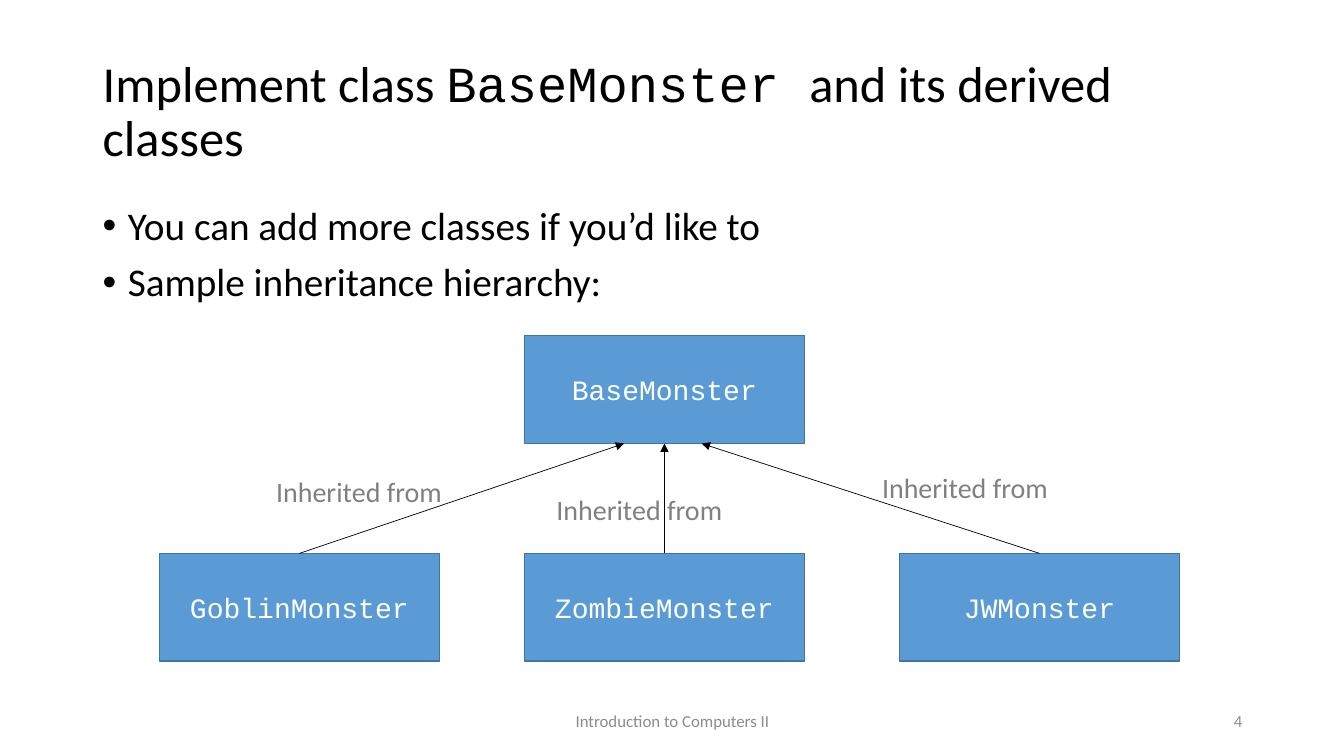
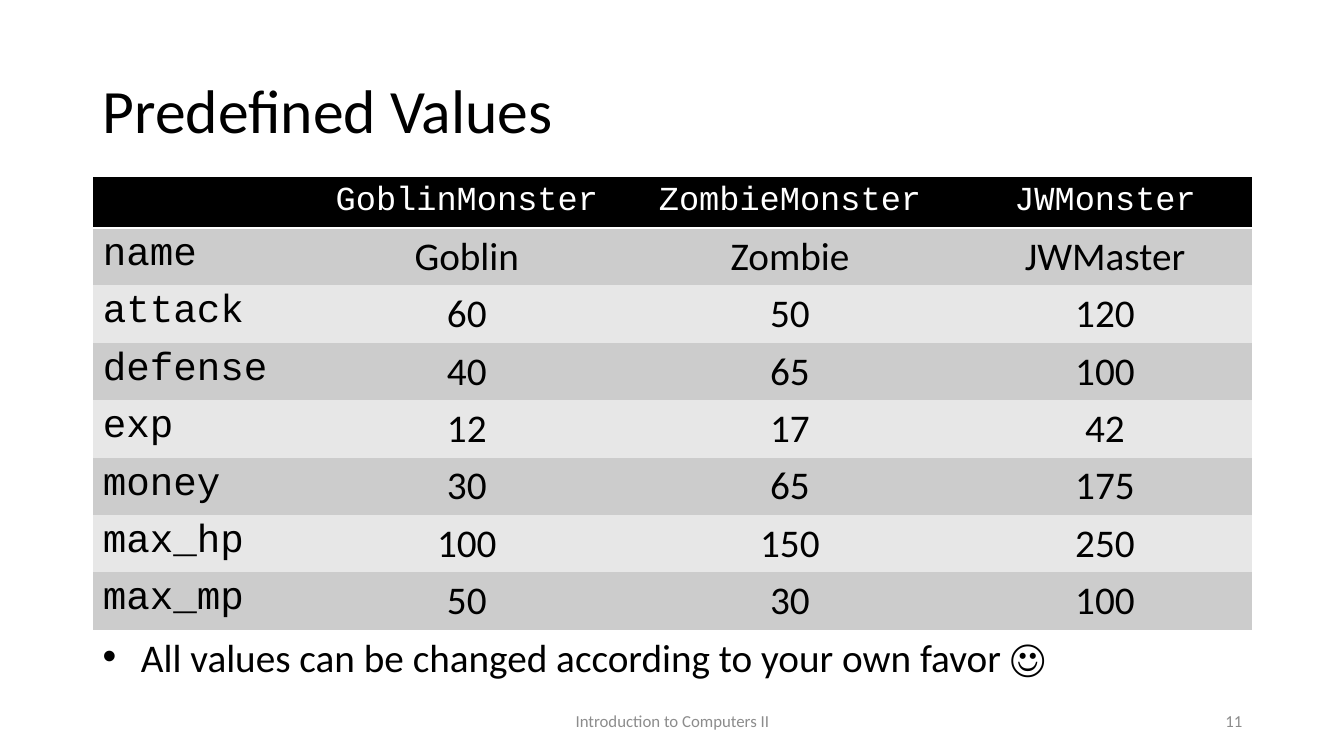
from dataclasses import dataclass

from lxml.etree import SubElement
from pptx import Presentation
from pptx.dml.color import RGBColor as Color
from pptx.enum.shapes import MSO_CONNECTOR as Connector, MSO_SHAPE as Preset
from pptx.enum.text import MSO_ANCHOR as Anchor, MSO_AUTO_SIZE as AutoSize, PP_ALIGN as Align
from pptx.oxml import parse_xml
from pptx.oxml.ns import nsdecls, qn
from pptx.util import Inches, Pt


@dataclass(frozen=True)
class Theme:
    # Fonts
    sans: str = "Calibri"
    code: str = "Courier New"
    # Colours
    black: str = "000000"
    white: str = "FFFFFF"
    box_fill: str = "5B9BD5"
    box_line: str = "43739E"
    label: str = "808080"
    footer: str = "8C8C8C"
    bands: tuple = ("CCCCCC", "E7E7E7")
    # Type sizes
    title_size: int = 44
    long_title_size: int = 36
    body_size: int = 28
    header_size: int = 24
    diagram_size: int = 20
    footer_size: int = 12


THEME = Theme()
LEFT, CONTENT_WIDTH = 0.92, 11.5
COURSE = "Introduction to Computers II"
PLAIN_TABLE_STYLE = "{2D5ABB26-0587-4C30-8999-92F81FD0307C}"

# Class diagram
BOX_WIDTH, BOX_HEIGHT = 2.78, 1.07
BASE_LEFT, BASE_TOP, DERIVED_TOP = 5.2, 3.33, 5.49
# Name, box left, arrow end, label left and top
DERIVED_CLASSES = [
    ("GoblinMonster", 1.58, 6.19, 2.64, 4.66),
    ("ZombieMonster", BASE_LEFT, 6.59, 5.42, 4.84),
    ("JWMonster", 8.92, 6.96, 8.65, 4.62),
]

# Values table
COLUMN_WIDTHS = [2.17, 3.08, 3.33, 2.92]
HEADER_HEIGHT, ROW_HEIGHT = 0.5, 0.57
MONSTER_VALUES = [
    ("", "GoblinMonster", "ZombieMonster", "JWMonster"),
    ("name", "Goblin", "Zombie", "JWMaster"),
    ("attack", "60", "50", "120"),
    ("defense", "40", "65", "100"),
    ("exp", "12", "17", "42"),
    ("money", "30", "65", "175"),
    ("max_hp", "100", "150", "250"),
    ("max_mp", "50", "30", "100"),
]


def apply_format(target, values):
    for name, value in values.items():
        setattr(target, name, value)


def paint(fill, color):
    fill.solid()
    fill.fore_color.rgb = Color.from_string(color)


def add_run(paragraph, text, size, color=THEME.black, font=THEME.sans):
    run = paragraph.add_run()
    run.text = text
    apply_format(run.font, {"name": font, "size": Pt(size)})
    run.font.color.rgb = Color.from_string(color)


def add_text_frame(slide, left, top, width, height, **frame_format):
    box = slide.shapes.add_textbox(*map(Inches, (left, top, width, height)))
    apply_format(box.text_frame, {"word_wrap": True, **frame_format})
    return box.text_frame


def add_title(slide, parts, size):
    frame = add_text_frame(slide, LEFT, 0.4, CONTENT_WIDTH, 1.45,
                           vertical_anchor=Anchor.MIDDLE)
    paragraph = frame.paragraphs[0]
    paragraph.line_spacing = 0.9
    for text, font in parts:
        add_run(paragraph, text, size, font=font)


def add_bullets(frame, lines, indent, **paragraph_format):
    for index, line in enumerate(lines):
        paragraph = frame.add_paragraph() if index else frame.paragraphs[0]
        apply_format(paragraph, paragraph_format)
        properties = paragraph._p.get_or_add_pPr()
        properties.set("marL", str(Inches(indent)))
        properties.set("indent", str(-Inches(indent)))
        SubElement(properties, qn("a:buFont"), typeface="Arial")
        SubElement(properties, qn("a:buChar"), char="•")
        add_run(paragraph, line, THEME.body_size)


def add_footer(slide, number):
    for text, left, width, alignment in ((COURSE, 4.42, 4.5, Align.CENTER),
                                         (str(number), 9.42, 3, Align.RIGHT)):
        frame = add_text_frame(slide, left, 6.95, width, 0.4,
                               vertical_anchor=Anchor.MIDDLE)
        paragraph = frame.paragraphs[0]
        paragraph.alignment = alignment
        add_run(paragraph, text, THEME.footer_size, THEME.footer)


def add_class_box(slide, name, left, top):
    shape = slide.shapes.add_shape(
        Preset.RECTANGLE, *map(Inches, (left, top, BOX_WIDTH, BOX_HEIGHT)))
    shape.shadow.inherit = False
    paint(shape.fill, THEME.box_fill)
    paint(shape.line.fill, THEME.box_line)
    shape.line.width = Pt(1)
    shape.text_frame.vertical_anchor = Anchor.MIDDLE
    paragraph = shape.text_frame.paragraphs[0]
    paragraph.alignment = Align.CENTER
    add_run(paragraph, name, THEME.diagram_size, THEME.white, THEME.code)
    return shape


def add_arrow(slide, derived_box, end_x, end_y):
    end = Inches(end_x), Inches(end_y)
    arrow = slide.shapes.add_connector(Connector.STRAIGHT, *end, *end)
    arrow.begin_connect(derived_box, 0)  # top centre
    paint(arrow.line.fill, THEME.black)
    arrow.line.width = Pt(0.5)
    SubElement(arrow.line._get_or_add_ln(), qn("a:tailEnd"), type="triangle")
    SubElement(arrow._element.spPr, qn("a:effectLst"))


def add_arrow_label(slide, left, top):
    frame = add_text_frame(slide, left, top, 1.86, 0.44, word_wrap=False,
                           auto_size=AutoSize.SHAPE_TO_FIT_TEXT)
    add_run(frame.paragraphs[0], "Inherited from", THEME.diagram_size, THEME.label)


def add_bottom_border(cell, color, points):
    border = parse_xml(
        f'<a:lnB {nsdecls("a")} w="{Pt(points)}"><a:solidFill>'
        f'<a:srgbClr val="{color}"/></a:solidFill></a:lnB>')
    cell._tc.get_or_add_tcPr().insert(0, border)


def fill_cell(cell, text, row, column):
    is_header = row == 0
    paint(cell.fill, THEME.black if is_header else THEME.bands[(row - 1) % 2])
    if is_header:
        add_bottom_border(cell, THEME.white, 2)
    if text:
        paragraph = cell.text_frame.paragraphs[0]
        paragraph.alignment = Align.CENTER if column else Align.LEFT
        add_run(paragraph, text,
                THEME.header_size if is_header else THEME.body_size,
                THEME.white if is_header else THEME.black,
                THEME.sans if row and column else THEME.code)


def add_values_table(slide, rows, top):
    heights = [HEADER_HEIGHT] + [ROW_HEIGHT] * (len(rows) - 1)
    frame = slide.shapes.add_table(
        len(rows), len(COLUMN_WIDTHS),
        *map(Inches, (LEFT, top, CONTENT_WIDTH, sum(heights))))
    table = frame.table
    apply_format(table, {"first_row": False, "horz_banding": False})
    table._tbl.tblPr.find(qn("a:tableStyleId")).text = PLAIN_TABLE_STYLE
    for column, width in zip(table.columns, COLUMN_WIDTHS):
        column.width = Inches(width)
    for row, (height, values) in enumerate(zip(heights, rows)):
        table.rows[row].height = Inches(height)
        for column, text in enumerate(values):
            fill_cell(table.cell(row, column), text, row, column)


def build_hierarchy_slide(slide):
    add_title(slide, [("Implement class ", THEME.sans), ("BaseMonster ", THEME.code),
                      ("and its derived classes", THEME.sans)], THEME.long_title_size)
    body = add_text_frame(slide, LEFT, 2, CONTENT_WIDTH, 4.76)
    add_bullets(body, ["You can add more classes if you’d like to",
                       "Sample inheritance hierarchy:"],
                0.25, line_spacing=0.9, space_before=Pt(10))
    add_footer(slide, 4)
    # Base class, then each derived class with its arrow and label
    add_class_box(slide, "BaseMonster", BASE_LEFT, BASE_TOP)
    for name, left, arrow_end, label_left, label_top in DERIVED_CLASSES:
        derived_box = add_class_box(slide, name, left, DERIVED_TOP)
        add_arrow(slide, derived_box, arrow_end, BASE_TOP + BOX_HEIGHT)
        add_arrow_label(slide, label_left, label_top)


def build_values_slide(slide):
    add_title(slide, [("Predefined Values", THEME.sans)], THEME.title_size)
    add_values_table(slide, MONSTER_VALUES, 1.76)
    note = add_text_frame(slide, LEFT, 6.23, 9.73, 0.57,
                          auto_size=AutoSize.SHAPE_TO_FIT_TEXT)
    add_bullets(note, ["All values can be changed according to your own favor ☺"], 0.38)
    add_footer(slide, 11)


def main():
    presentation = Presentation()
    apply_format(presentation, {"slide_width": Inches(13.33), "slide_height": Inches(7.5)})
    blank_layout = presentation.slide_layouts[6]
    for build_slide in (build_hierarchy_slide, build_values_slide):
        build_slide(presentation.slides.add_slide(blank_layout))
    presentation.save("out.pptx")


if __name__ == "__main__":
    main()
